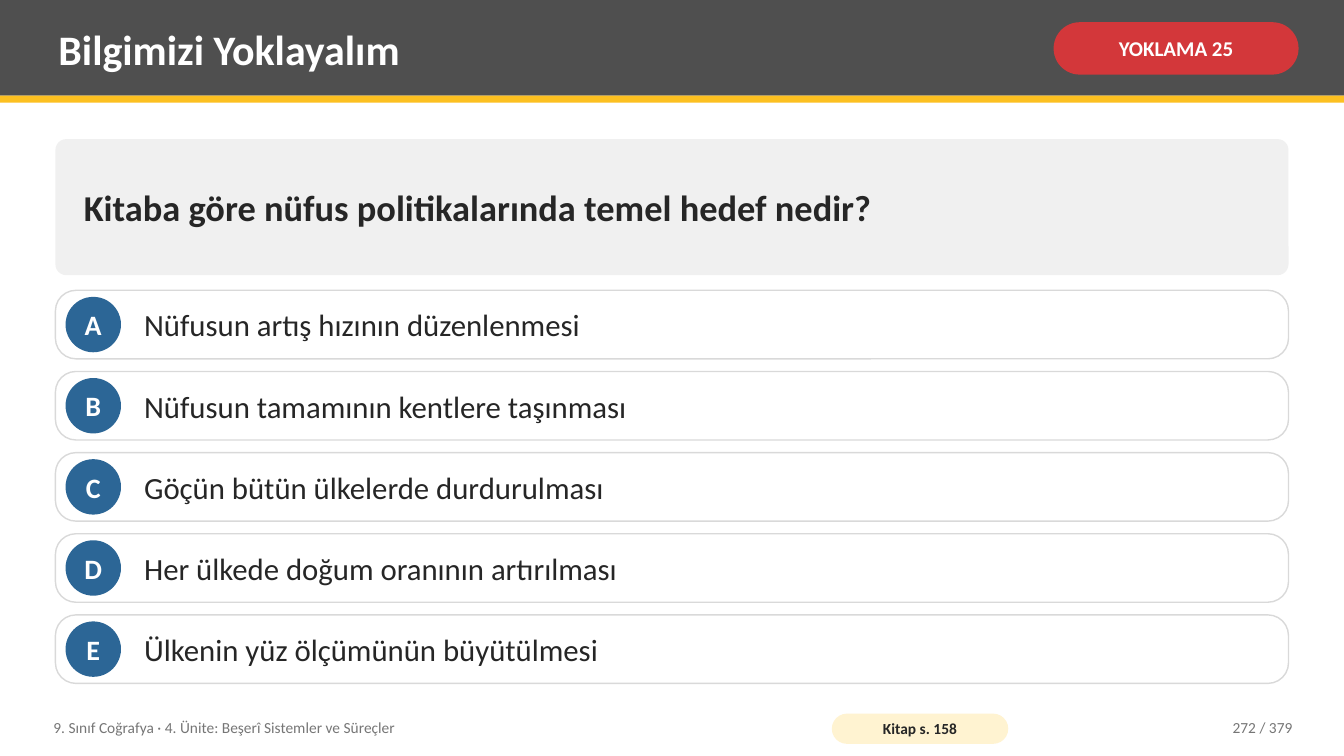
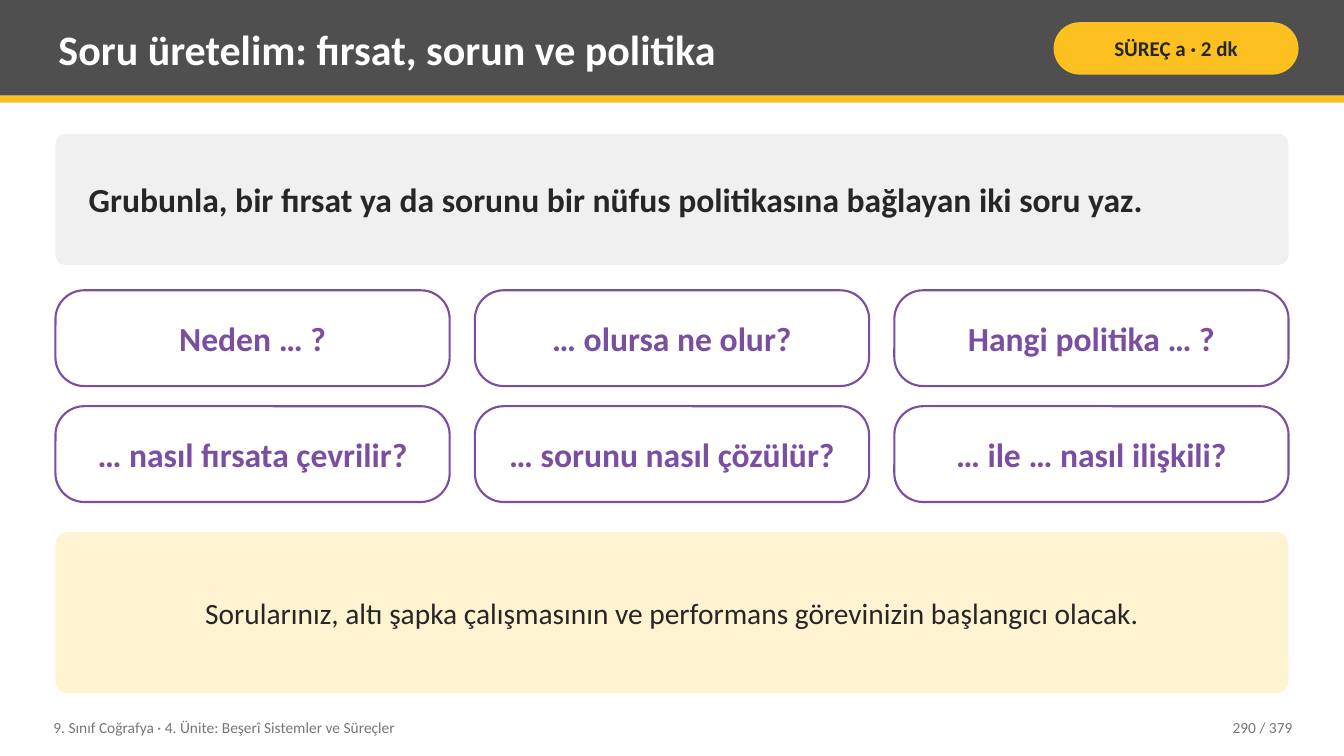
from pptx import Presentation
from pptx.dml.color import RGBColor
from pptx.enum.shapes import MSO_SHAPE as SHAPE
from pptx.enum.text import MSO_ANCHOR as ANCHOR, PP_ALIGN as ALIGN
from pptx.util import Emu, Pt

PX = 9144
PAGE_W, PAGE_H = 1333, 750
LEFT, CONTENT_W = 55, 1223
FONT = "Calibri"
WHITE, INK, MUTED = "FFFFFF", "262626", "767676"
HEADER, YELLOW, CREAM = "4F4F4F", "FCC021", "FFF3D1"
PANEL, BORDER = "F0F0F0", "D9D9D9"
RED, BLUE, PURPLE = "D3373A", "2C6696", "7A4EA0"
COURSE = "9. Sınıf Coğrafya · 4. Ünite: Beşerî Sistemler ve Süreçler"
PAGE_COUNT = 379


def px(length):
    """Turn pixels into EMU."""
    return Emu(round(length * PX))


def color(hex_code):
    """Turn a hex string into a colour."""
    return RGBColor.from_string(hex_code)


def write(shape, text, size, ink=INK, bold=False, align=ALIGN.LEFT, inset=(8, 4), wrap=True):
    """Set one formatted paragraph, centred vertically in the shape."""
    frame = shape.text_frame
    frame.word_wrap = wrap
    frame.vertical_anchor = ANCHOR.MIDDLE
    frame.margin_left = frame.margin_right = px(inset[0])
    frame.margin_top = frame.margin_bottom = px(inset[1])
    paragraph = frame.paragraphs[0]
    paragraph.alignment = align
    run = paragraph.add_run()
    run.text = text
    run.font.name = FONT
    run.font.size = Pt(size)
    run.font.bold = bold
    run.font.color.rgb = color(ink)


def add_label(slide, box, text, size, **style):
    """Add a text box."""
    write(slide.shapes.add_textbox(*map(px, box)), text, size, **style)


def add_block(slide, kind, box, fill, radius=None, border=None, border_width=1):
    """Add a filled shape with an optional corner radius and border."""
    block = slide.shapes.add_shape(kind, *map(px, box))
    block.shadow.inherit = False
    block.fill.solid()
    block.fill.fore_color.rgb = color(fill)
    if radius is not None:
        block.adjustments[0] = radius
    if border:
        block.line.color.rgb = color(border)
        block.line.width = Pt(border_width)
    else:
        block.line.fill.background()
    return block


def add_pill(slide, box, fill, text, size, **style):
    """Add a fully rounded tag with bold centred text."""
    pill = add_block(slide, SHAPE.ROUNDED_RECTANGLE, box, fill, radius=0.5)
    write(pill, text, size, bold=True, align=ALIGN.CENTER, **style)


def add_panel(slide, top, height, fill, text, size, **style):
    """Add a full-width panel holding one statement."""
    box = (LEFT, top, CONTENT_W, height)
    panel = add_block(slide, SHAPE.ROUNDED_RECTANGLE, box, fill, radius=0.08)
    write(panel, text, size, **style)


def add_option(slide, top, height, letter, answer):
    """Add an answer card with its lettered badge."""
    badge_size = 55
    add_block(slide, SHAPE.ROUNDED_RECTANGLE, (LEFT, top, CONTENT_W, height), WHITE,
              radius=0.3, border=BORDER)
    badge_top = top + (height - badge_size) / 2
    badge = add_block(slide, SHAPE.OVAL, (LEFT + 10, badge_top, badge_size, badge_size), BLUE)
    write(badge, letter, 20, ink=WHITE, bold=True, align=ALIGN.CENTER, inset=(0, 0), wrap=False)
    add_label(slide, (LEFT + 80, top, CONTENT_W - 100, height), answer, 22)


def add_options(slide, answers, top=288, bottom=678, height=68):
    """Spread the answer cards evenly between top and bottom."""
    pitch = (bottom - top - height) / (len(answers) - 1)
    for index, (letter, answer) in enumerate(zip("ABCDE", answers)):
        add_option(slide, top + index * pitch, height, letter, answer)


def add_prompts(slide, prompts, top=288, columns=3, height=95, gap_x=25, gap_y=20):
    """Lay out question starters in a grid of outlined cards."""
    width = (CONTENT_W - gap_x * (columns - 1)) / columns
    for index, prompt in enumerate(prompts):
        row, column = divmod(index, columns)
        box = (LEFT + column * (width + gap_x), top + row * (height + gap_y), width, height)
        card = add_block(slide, SHAPE.ROUNDED_RECTANGLE, box, WHITE,
                         radius=0.3, border=PURPLE, border_width=1.5)
        write(card, prompt, 24, ink=PURPLE, bold=True, align=ALIGN.CENTER, inset=(6, 2))


def start_slide(deck, title, tag, tag_fill, tag_ink):
    """Add a blank slide with the header band, title and tag."""
    slide = deck.slides.add_slide(deck.slide_layouts[6])
    add_block(slide, SHAPE.RECTANGLE, (0, 0, PAGE_W, 95), HEADER)
    add_block(slide, SHAPE.RECTANGLE, (0, 95, PAGE_W, 7), YELLOW)
    add_label(slide, (50, 7, 975, 82), title, 30, ink=WHITE, bold=True)
    add_pill(slide, (1045, 22, 243, 52), tag_fill, tag, 15, ink=tag_ink, inset=(5, 2))
    return slide


def add_footer(slide, page, book_page=None):
    """Add the course line, optional book reference and page number."""
    add_label(slide, (45, 704, 760, 36), COURSE, 11, ink=MUTED)
    if book_page:
        add_pill(slide, (825, 708, 175, 30), CREAM, f"Kitap s. {book_page}", 11, inset=(4, 0))
    add_label(slide, (1130, 704, 160, 36), f"{page} / {PAGE_COUNT}", 11,
              ink=MUTED, align=ALIGN.RIGHT)


def build_quiz(deck):
    """Build the multiple-choice slide."""
    slide = start_slide(deck, "Bilgimizi Yoklayalım", "YOKLAMA 25", RED, WHITE)
    add_panel(slide, 138, 135, PANEL, "Kitaba göre nüfus politikalarında temel hedef nedir?",
              26, bold=True, inset=(25, 8))
    add_options(slide, [
        "Nüfusun artış hızının düzenlenmesi",
        "Nüfusun tamamının kentlere taşınması",
        "Göçün bütün ülkelerde durdurulması",
        "Her ülkede doğum oranının artırılması",
        "Ülkenin yüz ölçümünün büyütülmesi",
    ])
    add_footer(slide, 272, book_page=158)


def build_question_workshop(deck):
    """Build the question-writing slide."""
    slide = start_slide(deck, "Soru üretelim: fırsat, sorun ve politika",
                        "SÜREÇ a · 2 dk", YELLOW, INK)
    add_panel(slide, 133, 130, PANEL,
              "Grubunla, bir fırsat ya da sorunu bir nüfus politikasına bağlayan iki soru yaz.",
              24, bold=True, inset=(30, 8))
    add_prompts(slide, [
        "Neden … ?",
        "… olursa ne olur?",
        "Hangi politika … ?",
        "… nasıl fırsata çevrilir?",
        "… sorunu nasıl çözülür?",
        "… ile … nasıl ilişkili?",
    ])
    add_panel(slide, 528, 160, CREAM,
              "Sorularınız, altı şapka çalışmasının ve performans görevinizin başlangıcı olacak.",
              21, align=ALIGN.CENTER, inset=(22, 8))
    add_footer(slide, 290)


def main():
    """Build and save the deck."""
    deck = Presentation()
    deck.slide_width, deck.slide_height = px(PAGE_W), px(PAGE_H)
    build_quiz(deck)
    build_question_workshop(deck)
    deck.save("out.pptx")


if __name__ == "__main__":
    main()
